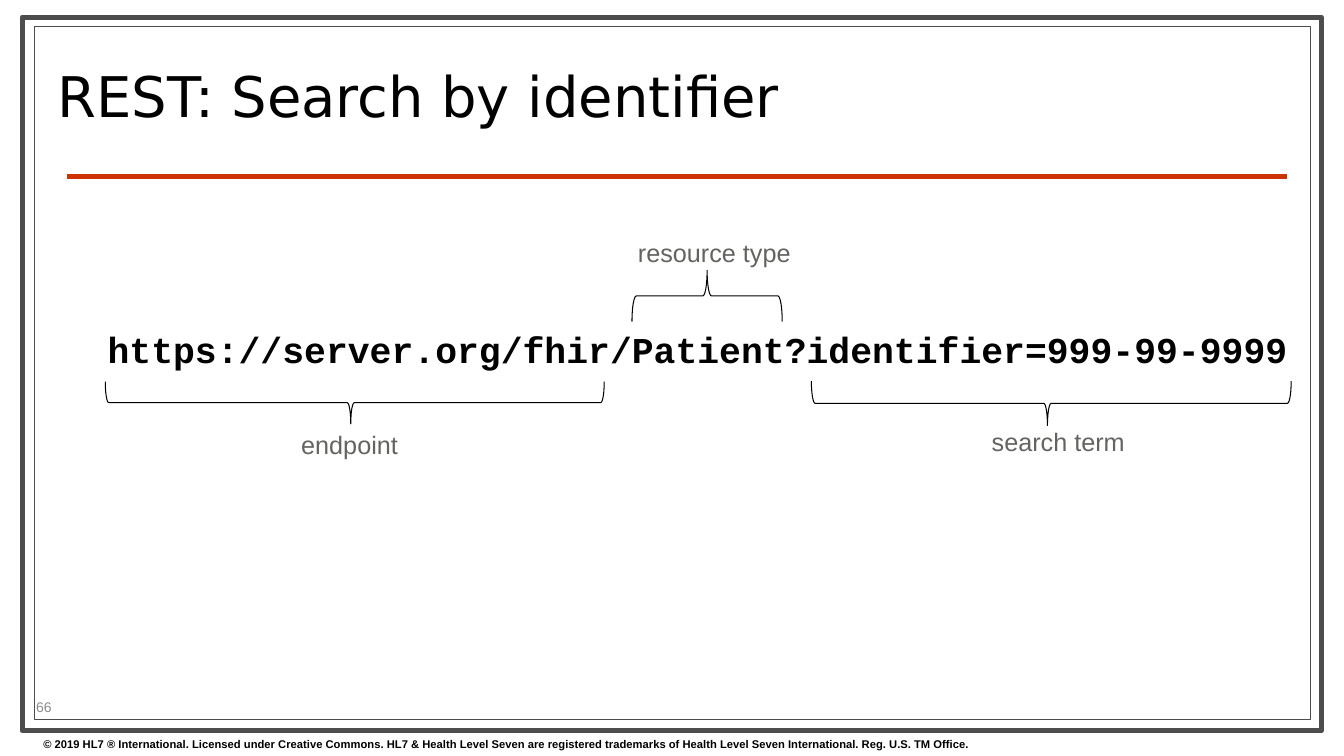
from dataclasses import dataclass

from lxml import etree
from pptx import Presentation
from pptx.dml.color import RGBColor
from pptx.enum.shapes import MSO_CONNECTOR as Connector, MSO_SHAPE as Shape
from pptx.enum.text import MSO_ANCHOR as Anchor, PP_ALIGN as Align
from pptx.oxml.ns import qn
from pptx.util import Pt


@dataclass(frozen=True)
class Theme:
    paper: str = "FFFFFF"
    ink: str = "000000"
    frame: str = "4D4D4D"
    rule: str = "CC3300"
    label: str = "636360"
    number: str = "8C8C8C"
    title_font: str = "DejaVu Sans"
    body_font: str = "Arial"
    code_font: str = "Courier New"
    title_size: int = 40
    code_size: int = 26
    label_size: int = 18
    number_size: int = 10
    notice_size: int = 8


THEME = Theme()


def color(code):
    return RGBColor.from_string(code)


def write(frame, text, size, ink, font=THEME.body_font, bold=False, anchor=Anchor.TOP):
    """Put one left-aligned run into a text frame and return its paragraph."""
    frame.word_wrap = True
    frame.vertical_anchor = anchor
    paragraph = frame.paragraphs[0]
    paragraph.alignment = Align.LEFT
    run = paragraph.add_run()
    run.text = text
    run.font.name = font
    run.font.size = Pt(size)
    run.font.bold = bold
    run.font.color.rgb = color(ink)
    return paragraph


def add_text(slide, box, *args, **style):
    frame = slide.shapes.add_textbox(*map(Pt, box)).text_frame
    write(frame, *args, **style)


def add_frame(slide, box, weight):
    border = slide.shapes.add_shape(Shape.RECTANGLE, *map(Pt, box))
    border.shadow.inherit = False
    border.fill.solid()
    border.fill.fore_color.rgb = color(THEME.paper)
    border.line.color.rgb = color(THEME.frame)
    border.line.width = Pt(weight)


def add_header(slide, box, text):
    """Fill the title and draw the rule beneath it."""
    left, top, width, height = box
    title = slide.shapes.title
    title.left, title.top, title.width, title.height = map(Pt, (left, top, 687.6, height))
    paragraph = write(title.text_frame, text, THEME.title_size, THEME.ink,
                      THEME.title_font, anchor=Anchor.MIDDLE)
    paragraph.line_spacing = 0.8

    rule_top = top + height + 7.2
    rule = slide.shapes.add_connector(
        Connector.STRAIGHT, Pt(left + 14.4), Pt(rule_top), Pt(left + width), Pt(rule_top))
    rule.line.color.rgb = color(THEME.rule)
    rule.line.width = Pt(3)
    etree.SubElement(rule._element.spPr, qn("a:effectLst"))


def add_brace(slide, box, rotation, tip):
    """Turn a left brace so that it fills the given horizontal box."""
    left, top, width, height = box
    shift = (width - height) / 2
    brace = slide.shapes.add_shape(
        Shape.LEFT_BRACE, Pt(left + shift), Pt(top - shift), Pt(height), Pt(width))
    brace.rotation = rotation
    brace.adjustments[0] = 0.083
    brace.adjustments[1] = tip
    brace.shadow.inherit = False
    brace.fill.background()
    brace.line.color.rgb = color(THEME.ink)
    brace.line.width = Pt(0.75)


def add_url_diagram(slide, box):
    """Show the request address with its parts braced and labelled."""
    left, top, width, height = box
    add_text(slide, (left, top, width, height),
             "https://server.org/fhir/Patient?identifier=999-99-9999",
             THEME.code_size, THEME.ink, font=THEME.code_font, bold=True)

    # part, brace box, rotation, tip, label box; all relative to the address
    parts = [
        ("endpoint", (5.4, 42.7, 356.4, 30.2), 270, 0.492, (138.3, 73.3, 90.7, 28.8)),
        ("resource type", (381.6, -36.8, 107.3, 36.7), 90, 0.5, (378.8, -63.5, 130.3, 28.8)),
        ("search term", (509.8, 42.4, 342.7, 31.7), 270, 0.492, (631.5, 71.2, 123.1, 28.8)),
    ]
    for part, brace_box, rotation, tip, label_box in parts:
        (brace_x, brace_y, *brace_size), (label_x, label_y, *label_size) = brace_box, label_box
        add_brace(slide, (left + brace_x, top + brace_y, *brace_size), rotation, tip)
        add_text(slide, (left + label_x, top + label_y, *label_size),
                 part, THEME.label_size, THEME.label)


def add_footer(slide, box):
    left, top, width, height = box
    add_text(slide, (left - 5, top - 27.4, 75.6, 17.3), "66",
             THEME.number_size, THEME.number, anchor=Anchor.MIDDLE)
    add_text(slide, (left, top, width, height),
             "© 2019 HL7 ® International. Licensed under Creative Commons. "
             "HL7 & Health Level Seven are registered trademarks of "
             "Health Level Seven International. Reg. U.S. TM Office.",
             THEME.notice_size, THEME.ink, bold=True)


def main():
    deck = Presentation()
    deck.slide_width, deck.slide_height = Pt(960), Pt(540)
    slide = deck.slides.add_slide(deck.slide_layouts[5])
    add_frame(slide, (15.8, 12.2, 928.1, 509.8), 3.5)
    add_frame(slide, (24.5, 18.7, 911.5, 495.4), 0.75)
    # The title placeholder belongs above the frames.
    slide.shapes._spTree.append(slide.shapes.title._element)
    add_header(slide, (33.8, 25.9, 885.6, 92.9), "REST: Search by identifier")
    add_url_diagram(slide, (69.8, 229.8, 864, 36.7))
    add_footer(slide, (23.8, 523.4, 912, 16.6))
    deck.save("out.pptx")


if __name__ == "__main__":
    main()
